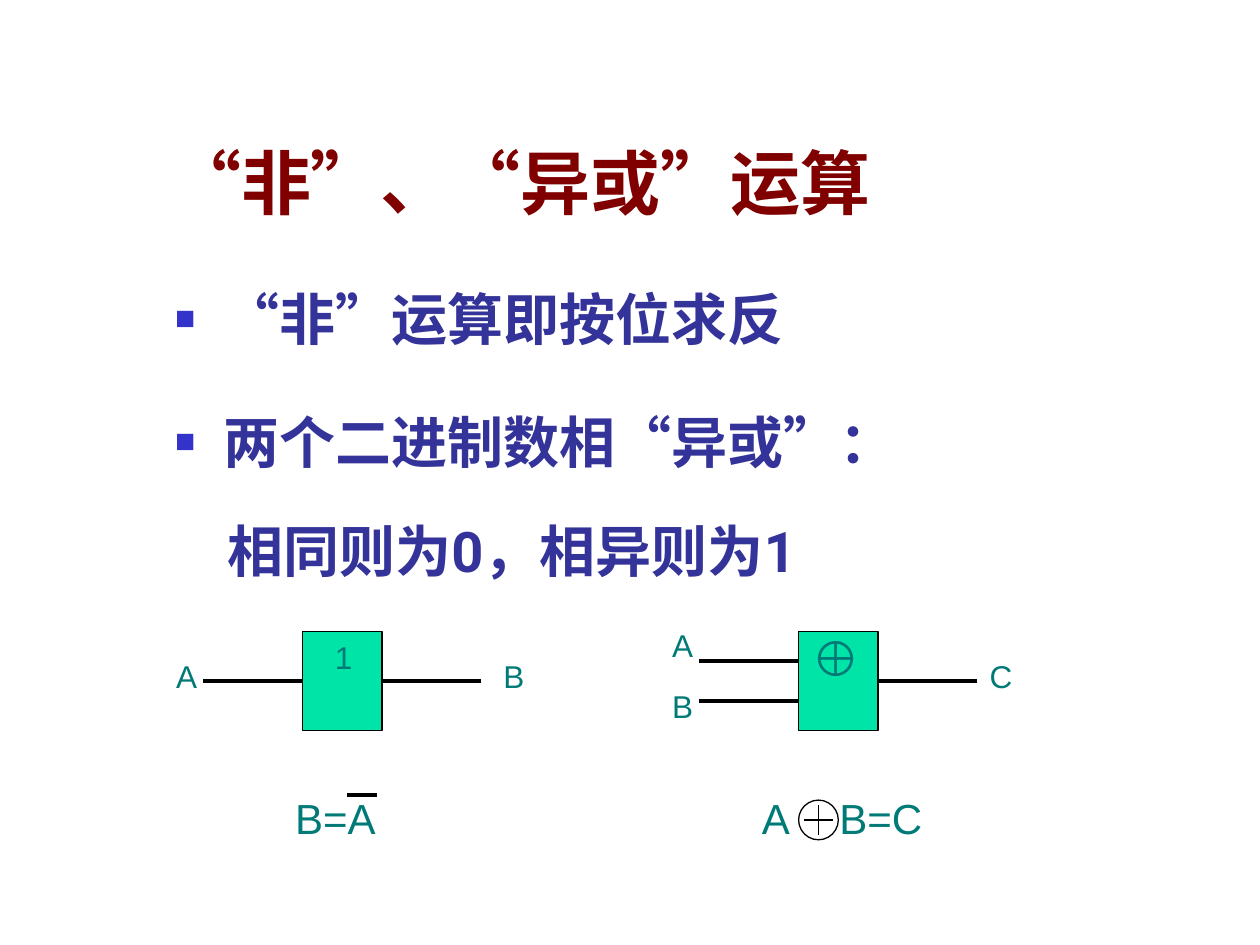
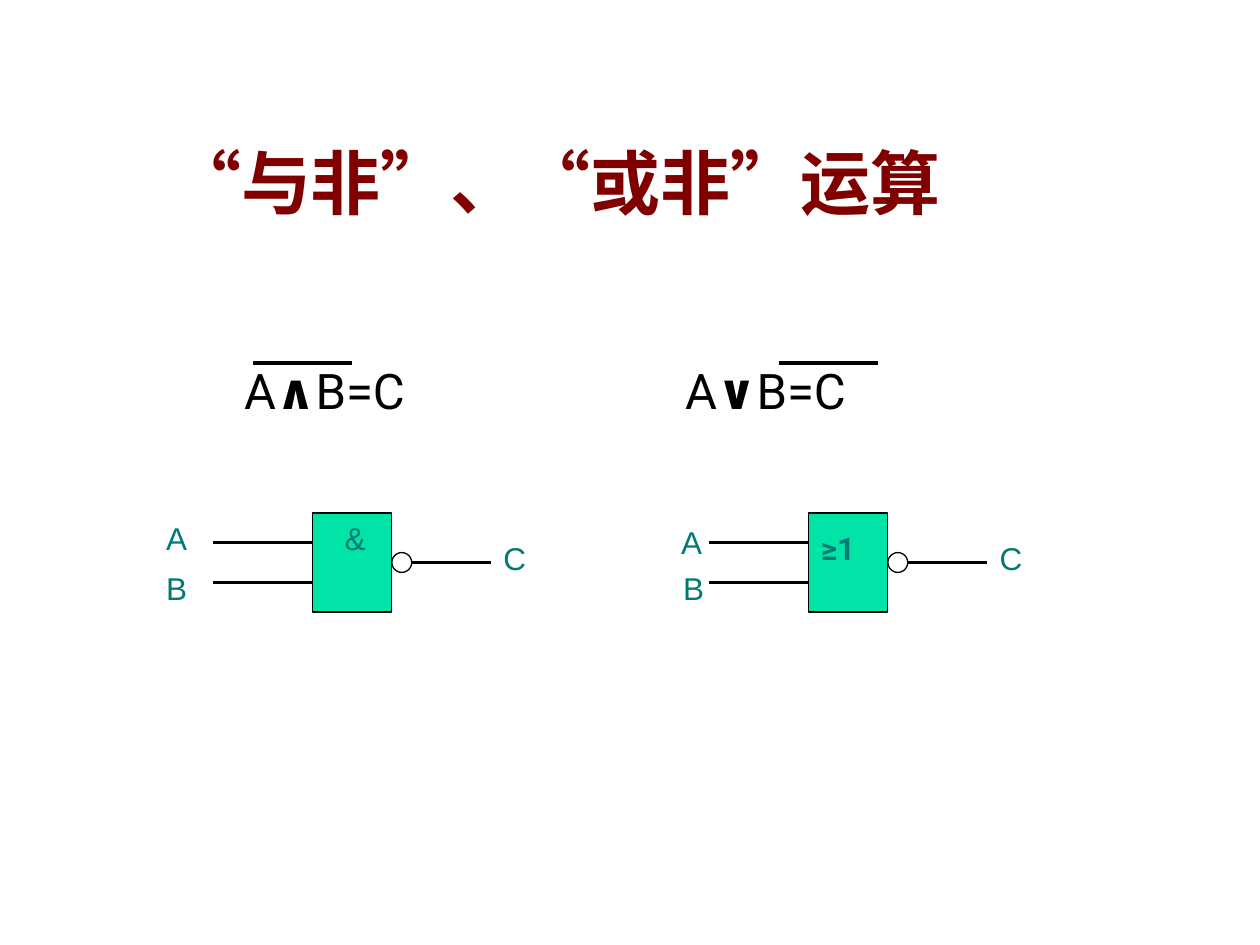
from lxml import etree
from pptx import Presentation
from pptx import util as u
from pptx.dml import color
from pptx.enum import lang, shapes, text
from pptx.oxml import ns

COLOURS = {
    "title": "800000",
    "body": "333399",
    "bullet": "3333CC",
    "label": "007A77",
    "gate": "00E4A8",
    "ink": "000000",
}
GATE_WIDTH, GATE_HEIGHT = 1.6, 2
WIRE = 2
INPUT_OFFSETS = (0.6, 1.4)
BUBBLE = 0.4
LEFT, RIGHT = 3, 1  # connection sites of a rectangle


def rgb(name):
    return color.RGBColor.from_string(COLOURS[name])


class Drawing:
    """Holds the deck style and the slide being drawn; lengths are in centimetres."""

    def __init__(self, deck):
        self.deck = deck
        self.shapes = None

    def new_page(self, title):
        page = self.deck.slides.add_slide(self.deck.slide_layouts[6])
        self.shapes = page.shapes
        frame = self.frame(3.2, 0.58, 21.64, 4.06)
        frame.vertical_anchor = text.MSO_ANCHOR.BOTTOM
        self.span(frame.paragraphs[0], title, 40, "title", "Roboto", True)

    def frame(self, left, top, width, height):
        box = self.shapes.add_textbox(u.Cm(left), u.Cm(top), u.Cm(width), u.Cm(height))
        box.text_frame.word_wrap = True
        return box.text_frame

    def span(self, para, words, size, colour, font="Arial", bold=False):
        span = para.add_run()
        span.text = words
        span.font.size = u.Pt(size)
        span.font.name = font
        span.font.bold = bold
        span.font.color.rgb = rgb(colour)
        span.font.language_id = lang.MSO_LANGUAGE_ID.SIMPLIFIED_CHINESE

    def label(self, words, left, top, size=18, width=1, height=1, **style):
        para = self.frame(left, top, width, height).paragraphs[0]
        self.span(para, words, size, "label", **style)

    def formula(self, left, top, first, operator, rest):
        para = self.frame(left, top, 6, 2.8).paragraphs[0]
        for words, bold in ((first, False), (operator, True), (rest, False)):
            self.span(para, words, 28, "ink", "Roboto", bold)

    def bullets(self, left, top, width, height, lines):
        frame = self.frame(left, top, width, height)
        for number, (words, marked) in enumerate(lines):
            para = frame.add_paragraph() if number else frame.paragraphs[0]
            if number:
                para.space_before = u.Pt(16 if marked else 8)
            if marked:
                para.space_after = u.Pt(16)
            self.indent(para, marked)
            self.span(para, words, 32, "body", "Roboto", True)

    def indent(self, para, marked):
        props = para._p.get_or_add_pPr()
        props.set("marL", str(u.Cm(0.97 if marked else 1.05)))
        props.set("indent", str(u.Cm(-0.97 if marked else 0)))
        if not marked:
            return
        tint = etree.SubElement(props, ns.qn("a:buClr"))
        etree.SubElement(tint, ns.qn("a:srgbClr"), val=COLOURS["bullet"])
        etree.SubElement(props, ns.qn("a:buSzPct"), val="60000")
        etree.SubElement(props, ns.qn("a:buFont"), typeface="Arial")
        etree.SubElement(props, ns.qn("a:buChar"), char="■")

    def outline(self, kind, left, top, width, height, fill=None):
        shape = self.shapes.add_shape(
            kind, u.Cm(left), u.Cm(top), u.Cm(width), u.Cm(height))
        shape.shadow.inherit = False
        if fill:
            shape.fill.solid()
            shape.fill.fore_color.rgb = rgb(fill)
        else:
            shape.fill.background()
        shape.line.color.rgb = rgb("ink")
        shape.line.width = u.Pt(0.75)
        return shape

    def circle(self, left, top, size):
        return self.outline(shapes.MSO_SHAPE.OVAL, left, top, size, size)

    def line(self, x1, y1, x2, y2, weight=2):
        line = self.shapes.add_connector(
            shapes.MSO_CONNECTOR.STRAIGHT, u.Cm(x1), u.Cm(y1), u.Cm(x2), u.Cm(y2))
        line.line.color.rgb = rgb("ink")
        line.line.width = u.Pt(weight)
        etree.SubElement(line._element.spPr, ns.qn("a:effectLst"))
        return line

    def overline(self, left, top, length):
        self.line(left, top, left + length, top)

    def gate(self, left, top, inputs=2, inverted=False):
        body = self.outline(shapes.MSO_SHAPE.RECTANGLE, left, top,
                            GATE_WIDTH, GATE_HEIGHT, "gate")
        middle = top + GATE_HEIGHT / 2
        if inputs == 1:
            self.line(left - WIRE, middle, left, middle).end_connect(body, LEFT - 2)
        else:
            for offset in INPUT_OFFSETS:
                self.line(left - WIRE, top + offset, left, top + offset)
        edge = left + GATE_WIDTH
        if inverted:
            self.circle(edge, middle - BUBBLE / 2, BUBBLE)
            self.line(edge + BUBBLE, middle, edge + WIRE, middle)
        else:
            self.line(edge, middle, edge + WIRE, middle).begin_connect(body, RIGHT + 2)

    def xor_sign(self, left, top, size=0.8, margin=0.1):
        page_shapes = self.shapes
        self.shapes = page_shapes.add_group_shape().shapes
        self.circle(left, top, size)
        half = size / 2
        self.line(left + margin, top + half, left + size - margin, top + half, 0.75)
        self.line(left + half, top + margin, left + half, top + size - margin, 0.75)
        self.shapes = page_shapes


def draw_not_and_xor(drawing):
    drawing.new_page("“非”、“异或”运算")
    drawing.bullets(3.28, 5.61, 21.6, 11.43, [
        ("“非”运算即按位求反", True),
        ("两个二进制数相“异或”：", True),
        ("相同则为0，相异则为1", False),
    ])

    # Gates with their pins
    top = 12.73
    drawing.gate(6.1, top, inputs=1)
    drawing.gate(16.1, top)
    for words, left, drop in (("A", 3.3, 0.4), ("1", 6.5, 0), ("B", 9.9, 0.4),
                              ("A", 13.3, -0.23), ("B", 13.3, 1), ("C", 19.7, 0.4)):
        drawing.label(words, left, top + drop)
    drawing.label("⊕", 16.1, 12.53, 28, 1.2, 1.45, bold=True)

    # Formulas
    for words, left, width in (("B=A", 5.7, 4.2), ("A", 15.11, 1.2), ("B=C", 16.67, 3)):
        drawing.label(words, left, 15.85, 24, width, 1.27)
    drawing.overline(7, 16.03, 0.6)
    drawing.xor_sign(16.1, 16.13)


def draw_nand_and_nor(drawing):
    drawing.new_page("“与非”、“或非”运算")

    # Formulas
    drawing.formula(4.67, 7.14, "A", "∧", "B=C")
    drawing.formula(13.56, 7.14, "A", "∨", "B=C")
    for left in (5.1, 15.7):
        drawing.overline(left, 7.32, 2)

    # Gates with their pins
    top = 10.34
    for left in (6.3, 16.3):
        drawing.gate(left, top, inverted=True)
    for words, left, drop in (("A", 3.1, 0), ("B", 3.1, 1), ("&", 6.7, 0), ("C", 9.9, 0.4),
                              ("A", 13.48, 0.07), ("B", 13.52, 1), ("C", 19.9, 0.4)):
        drawing.label(words, left, top + drop)
    drawing.label("≥1", 16.3, top + 0.2, width=GATE_WIDTH, font="Roboto", bold=True)


def main():
    deck = Presentation()
    deck.slide_width, deck.slide_height = u.Cm(25.4), u.Cm(19.05)
    drawing = Drawing(deck)
    draw_not_and_xor(drawing)
    draw_nand_and_nor(drawing)
    deck.save("out.pptx")


if __name__ == "__main__":
    main()
